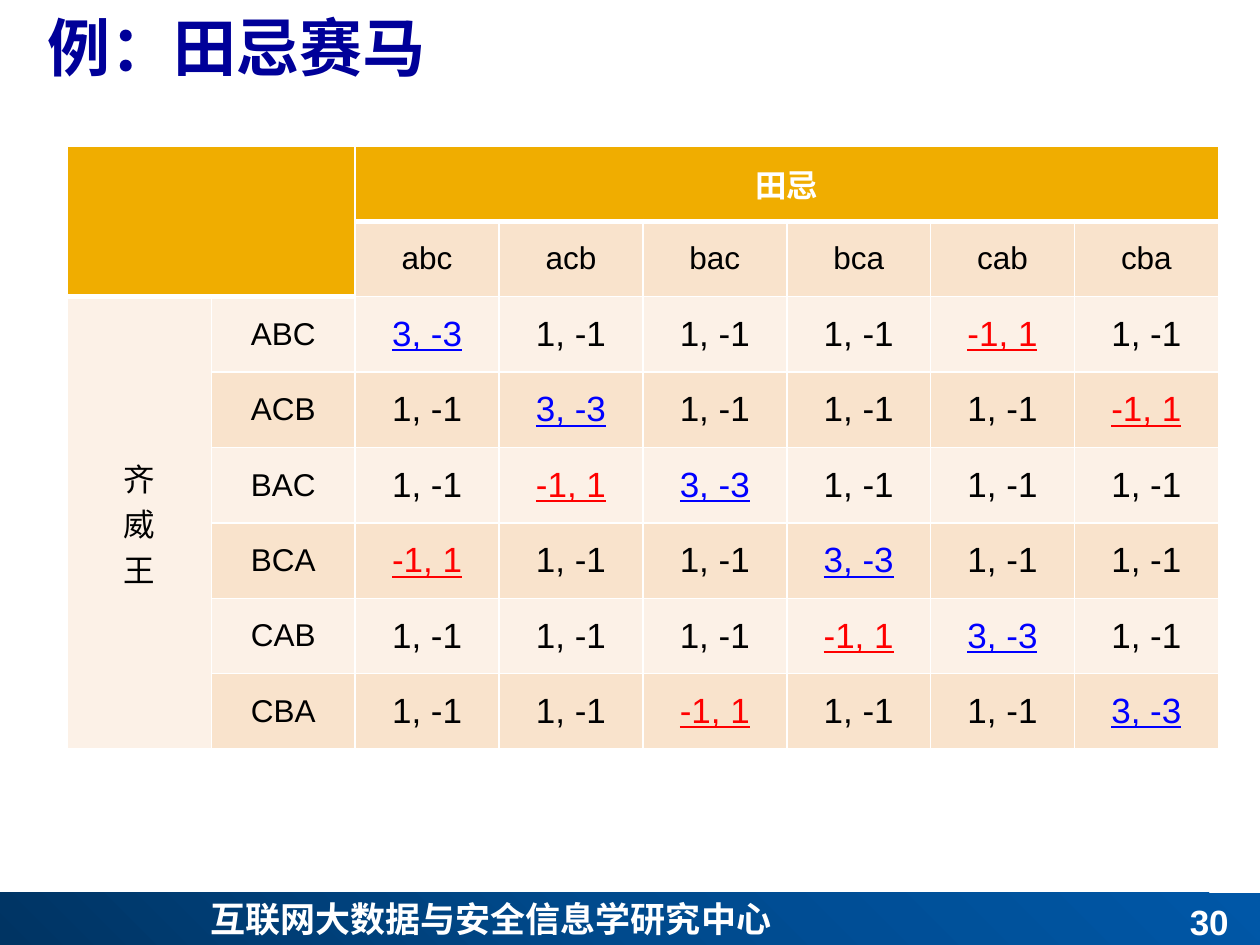
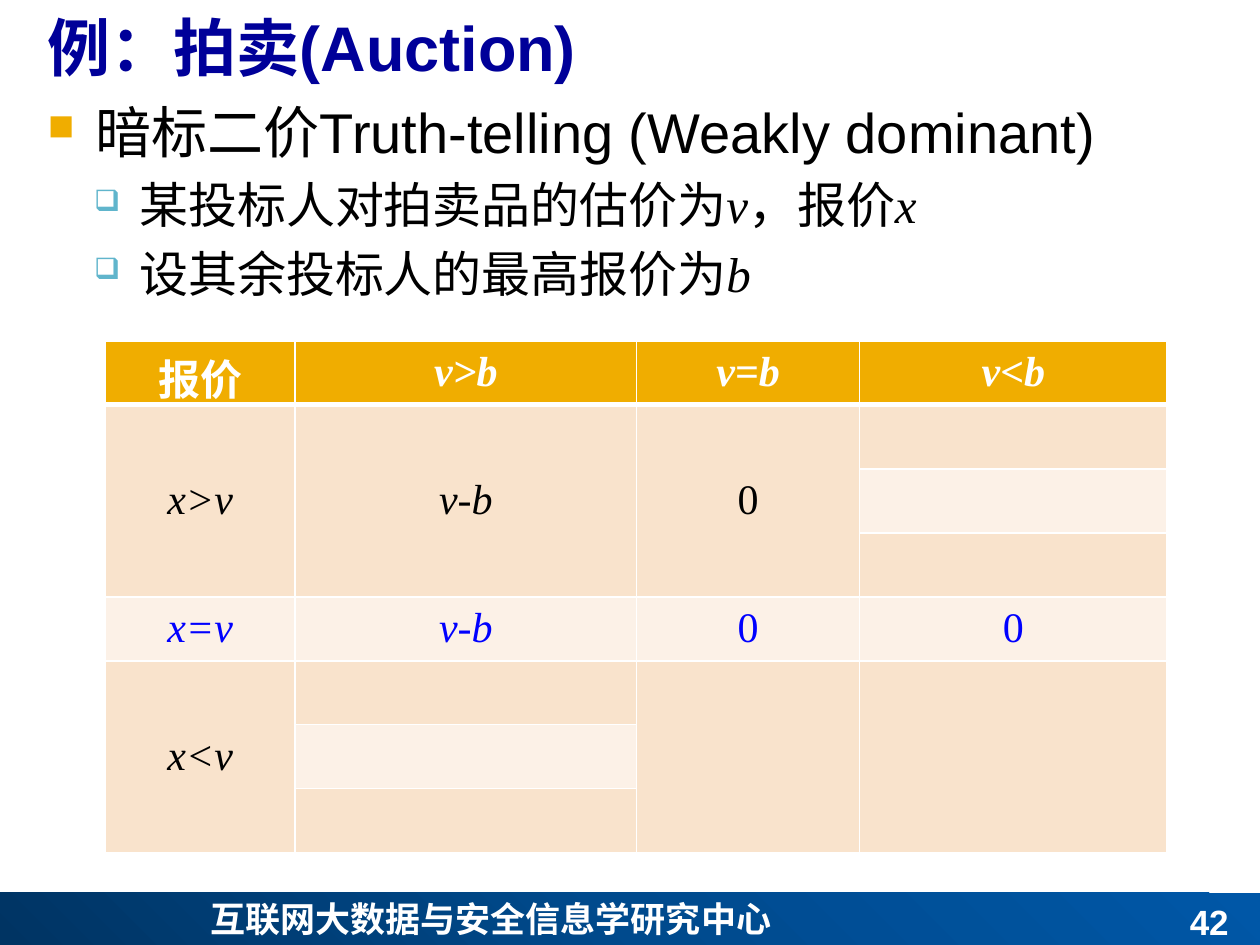
"""Build two game theory slides: a horse race payoff grid and a second-price auction."""
from dataclasses import dataclass, replace
from typing import NamedTuple

from lxml.etree import SubElement
from pptx import Presentation
from pptx.dml.color import RGBColor
from pptx.enum.shapes import MSO_SHAPE
from pptx.enum.text import MSO_ANCHOR, PP_ALIGN
from pptx.oxml import parse_xml
from pptx.oxml.ns import nsdecls, qn
from pptx.util import Cm, Pt

WHITE, BLACK, NAVY = "FFFFFF", "000000", "000099"
BLUE, RED = "0000FF", "FF0000"
GOLD, PEACH, CREAM, TEAL = "F0AD00", "F9E3CC", "FCF1E7", "60B5CC"
STOPS = ((0, "003463"), (50, "004A8D"), (100, "0057A7"))
HAN = "Noto Sans CJK SC"
SERIF = "Times New Roman"
CENTRE = "互联网大数据与安全信息学研究中心"


@dataclass(frozen=True)
class Style:
    """Look of a piece of text."""
    size: int
    hue: str = BLACK
    face: str = "Arial"
    bold: bool = False
    slant: bool = False
    under: bool = False


class Box(NamedTuple):
    """Place of a shape in centimetres."""
    left: float
    top: float
    width: float
    height: float


class Span(NamedTuple):
    """Block of merged cells."""
    row: int
    col: int
    tall: int
    wide: int


class Item(NamedTuple):
    """Text of a cell and its look."""
    text: str
    style: Style


class Point(NamedTuple):
    """Bulleted line, given as runs."""
    level: int
    runs: list[Item]


class Mark(NamedTuple):
    """Bullet and indent of one level."""
    sign: str
    hue: str
    scale: int
    margin: float
    hang: float
    before: float


@dataclass
class Grid:
    """Table with a gold head and banded rows."""
    left: float
    top: float
    cols: list[float]
    height: float
    count: int
    items: dict[tuple[int, int], Item]
    spans: list[Span]
    heads: set[tuple[int, int]]


TITLE = Style(36, NAVY, bold=True)
CREST = Style(20, WHITE, HAN, bold=True)
PAGE = Style(20, WHITE, bold=True)
MARKS = (Mark("■", GOLD, 65, 0.97, 0.97, 0), Mark("❑", TEAL, 60, 1.85, 0.91, 5.6))


def rgb(hue: str) -> RGBColor:
    """Turn a hex string into a colour."""
    return RGBColor.from_string(hue)


def dress(font, style: Style) -> None:
    """Give a font the look of a style."""
    font.size, font.name = Pt(style.size), style.face
    font.bold, font.italic, font.underline = style.bold, style.slant, style.under
    font.color.rgb = rgb(style.hue)
    east = parse_xml(f'<a:ea {nsdecls("a")} typeface="{HAN}"/>')
    font._rPr.find(qn("a:latin")).addnext(east)


def write(frame, item: Item, align: PP_ALIGN, anchor: MSO_ANCHOR) -> None:
    """Fill a text frame with text of one look."""
    frame.text, frame.vertical_anchor = item.text, anchor
    for para in frame.paragraphs:
        para.alignment = align
        dress(para.font, item.style)


def label(slide, box: Box, item: Item, align: PP_ALIGN, anchor: MSO_ANCHOR) -> None:
    """Add a text box with one look."""
    frame = slide.shapes.add_textbox(*map(Cm, box)).text_frame
    frame.word_wrap = True
    write(frame, item, align, anchor)


def band(slide) -> None:
    """Draw the shaded band at the foot."""
    shape = slide.shapes.add_shape(MSO_SHAPE.RECTANGLE, *map(Cm, Box(0, 18, 25.4, 1.05)))
    shape.shadow.inherit = False
    shape.line.fill.background()
    stops = "".join(f'<a:gs pos="{pos * 1000}"><a:srgbClr val="{hue}"/></a:gs>'
                    for pos, hue in STOPS)
    shade = parse_xml(
        f'<a:gradFill {nsdecls("a")} rotWithShape="1"><a:gsLst>{stops}</a:gsLst>'
        '<a:path path="circle"><a:fillToRect t="100000" r="100000"/></a:path></a:gradFill>')
    shape._element.spPr.find(qn("a:prstGeom")).addnext(shade)


def start(deck, title: str, page: int):
    """Add a slide with its title, band and footer."""
    slide = deck.slides.add_slide(deck.slide_layouts[5])
    band(slide)
    label(slide, Box(3.99, 17.96, 17.4, 1.12), Item(CENTRE, CREST),
          PP_ALIGN.LEFT, MSO_ANCHOR.TOP)
    label(slide, Box(19.1, 18, 5.92, 1.12), Item(str(page), PAGE),
          PP_ALIGN.RIGHT, MSO_ANCHOR.BOTTOM)
    head = slide.shapes.title
    head.left, head.top, head.width, head.height = map(Cm, Box(0.71, -0.08, 24.69, 2.01))
    write(head.text_frame, Item(title, TITLE), PP_ALIGN.LEFT, MSO_ANCHOR.MIDDLE)
    return slide


def edge(cell, above: bool, below: bool) -> None:
    """Draw white cell borders, thick next to the head."""
    props = cell._tc.get_or_add_tcPr()
    for place, (tag, thick) in enumerate(
            (("lnL", False), ("lnR", False), ("lnT", above), ("lnB", below))):
        width = Pt(3 if thick else 1)
        props.insert(place, parse_xml(
            f'<a:{tag} {nsdecls("a")} w="{width}"><a:solidFill>'
            f'<a:srgbClr val="{WHITE}"/></a:solidFill></a:{tag}>'))


def table(slide, grid: Grid) -> None:
    """Draw a grid as a table."""
    size = map(Cm, (grid.left, grid.top, sum(grid.cols), grid.height * grid.count))
    body = slide.shapes.add_table(grid.count, len(grid.cols), *size).table
    body.first_row = body.horz_banding = False
    props = body._tbl.tblPr
    props.remove(props.find(qn("a:tableStyleId")))
    for col, width in zip(body.columns, grid.cols):
        col.width = Cm(width)
    for span in grid.spans:
        last = body.cell(span.row + span.tall - 1, span.col + span.wide - 1)
        body.cell(span.row, span.col).merge(last)
    for row in range(grid.count):
        body.rows[row].height = Cm(grid.height)
        for col in range(len(grid.cols)):
            cell, gold = body.cell(row, col), (row, col) in grid.heads
            cell.fill.solid()
            cell.fill.fore_color.rgb = rgb(GOLD if gold else PEACH if row % 2 else CREAM)
            edge(cell, not gold and (row - 1, col) in grid.heads, gold)
            if (row, col) in grid.items:
                write(cell.text_frame, grid.items[row, col], PP_ALIGN.CENTER, MSO_ANCHOR.MIDDLE)
                cell.vertical_anchor = MSO_ANCHOR.MIDDLE


def bullet(para, mark: Mark) -> None:
    """Give a paragraph its bullet and indent."""
    props = para._p.get_or_add_pPr()
    props.set("marL", str(Cm(mark.margin)))
    props.set("indent", str(-Cm(mark.hang)))
    tint = SubElement(props, qn("a:buClr"))
    SubElement(tint, qn("a:srgbClr"), val=mark.hue)
    SubElement(props, qn("a:buSzPct"), val=str(mark.scale * 1000))
    SubElement(props, qn("a:buChar"), char=mark.sign)
    para.space_before = Pt(mark.before)


def points(slide, box: Box, lines: list[Point]) -> None:
    """Write bulleted lines into one text box."""
    frame = slide.shapes.add_textbox(*map(Cm, box)).text_frame
    frame.word_wrap = True
    for index, line in enumerate(lines):
        para = frame.add_paragraph() if index else frame.paragraphs[0]
        para.level = line.level
        bullet(para, MARKS[line.level])
        for item in line.runs:
            run = para.add_run()
            run.text = item.text
            dress(run.font, item.style)


def race(deck) -> None:
    """Build the horse race slide."""
    slide = start(deck, "例：田忌赛马", 30)
    plain, score = Style(18), Style(20)
    win = replace(score, hue=BLUE, under=True)
    loss = replace(win, hue=RED)
    orders = ("abc", "acb", "bac", "bca", "cab", "cba")
    beaten = (4, 5, 1, 0, 3, 2)
    items = {(0, 2): Item("田忌", Style(18, WHITE, bold=True)),
             (2, 0): Item("齐\n威\n王", plain)}
    for row, order in enumerate(orders):
        items[1, row + 2] = Item(order, plain)
        items[row + 2, 1] = Item(order.upper(), plain)
        for col in range(len(orders)):
            items[row + 2, col + 2] = (
                Item("3, -3", win) if col == row
                else Item("-1, 1", loss) if col == beaten[row]
                else Item("1, -1", score))
    heads = {(0, col) for col in range(8)} | {(1, 0), (1, 1)}
    spans = [Span(0, 0, 2, 2), Span(0, 2, 1, 6), Span(2, 0, 6, 1)]
    table(slide, Grid(1.36, 2.94, [2.9] * 8, 1.52, 8, items, spans, heads))


def auction(deck) -> None:
    """Build the auction slide."""
    slide = start(deck, "例：拍卖(Auction)", 42)
    lead, text = Style(32), Style(28)
    serif = replace(text, face=SERIF)
    sign = replace(serif, slant=True)
    points(slide, Box(0.71, 1.85, 24, 5.08), [
        Point(0, [Item("暗标二价Truth-telling (Weakly dominant)", lead)]),
        Point(1, [Item("某投标人对拍卖品的估价为", text), Item("v", sign),
                  Item("，报价", serif), Item("x", sign)]),
        Point(1, [Item("设其余投标人的最高报价为", text), Item("b", sign)])])
    rows = {0: (WHITE, ("报价", "v>b", "v=b", "v<b")),
            1: (BLACK, ("x>v", "v-b", "0")),
            4: (BLUE, ("x=v", "v-b", "0", "0")),
            5: (BLACK, ("x<v",))}
    items = {(row, col): Item(word, Style(24, hue, SERIF, bold=row == 0,
                                          slant=word not in ("0", "报价")))
             for row, (hue, words) in rows.items() for col, word in enumerate(words)}
    spans = [Span(row, col, 3, 1) for row, cols in ((1, (0, 1, 2)), (5, (0, 2, 3)))
             for col in cols]
    heads = {(0, col) for col in range(4)}
    table(slide, Grid(2.12, 6.87, [3.83, 6.88, 4.5, 6.2], 1.29, 8, items, spans, heads))


def main() -> None:
    """Build and save the deck."""
    deck = Presentation()
    deck.slide_width, deck.slide_height = Cm(25.4), Cm(19.05)
    race(deck)
    auction(deck)
    deck.save("out.pptx")


if __name__ == "__main__":
    main()
